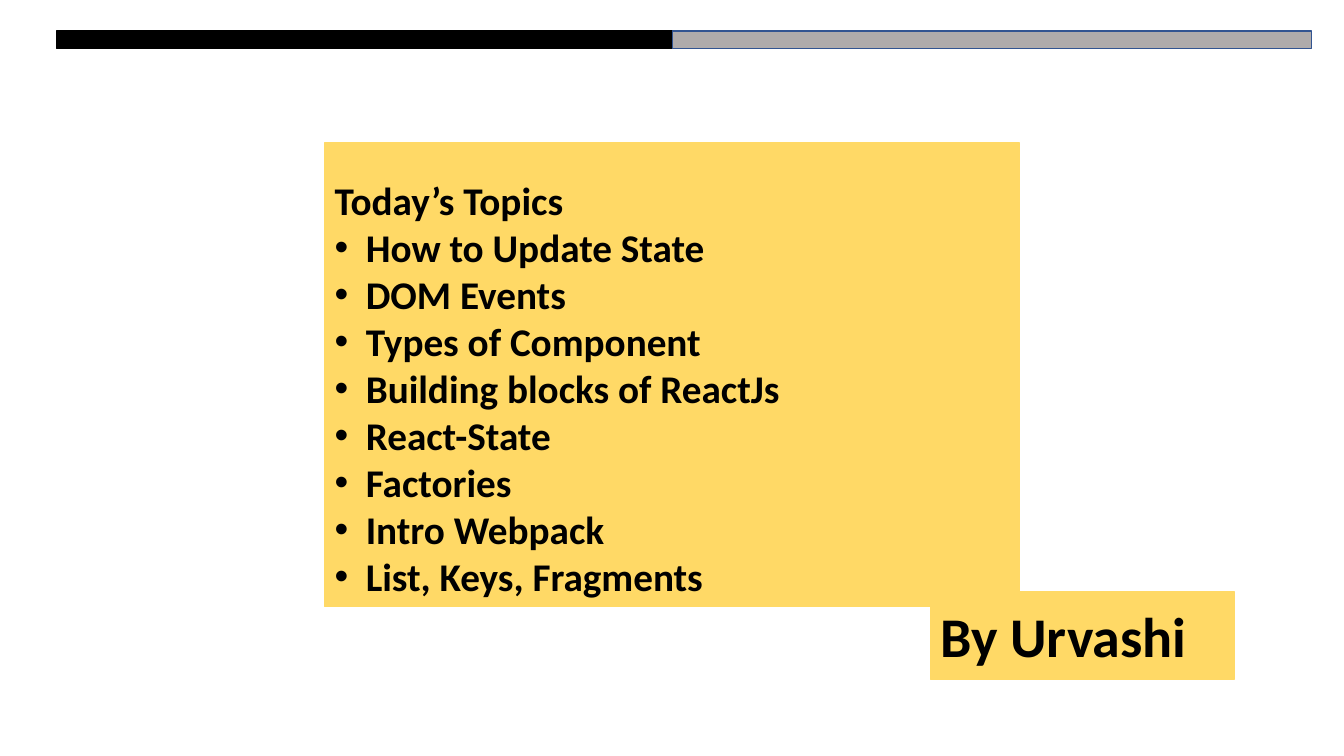
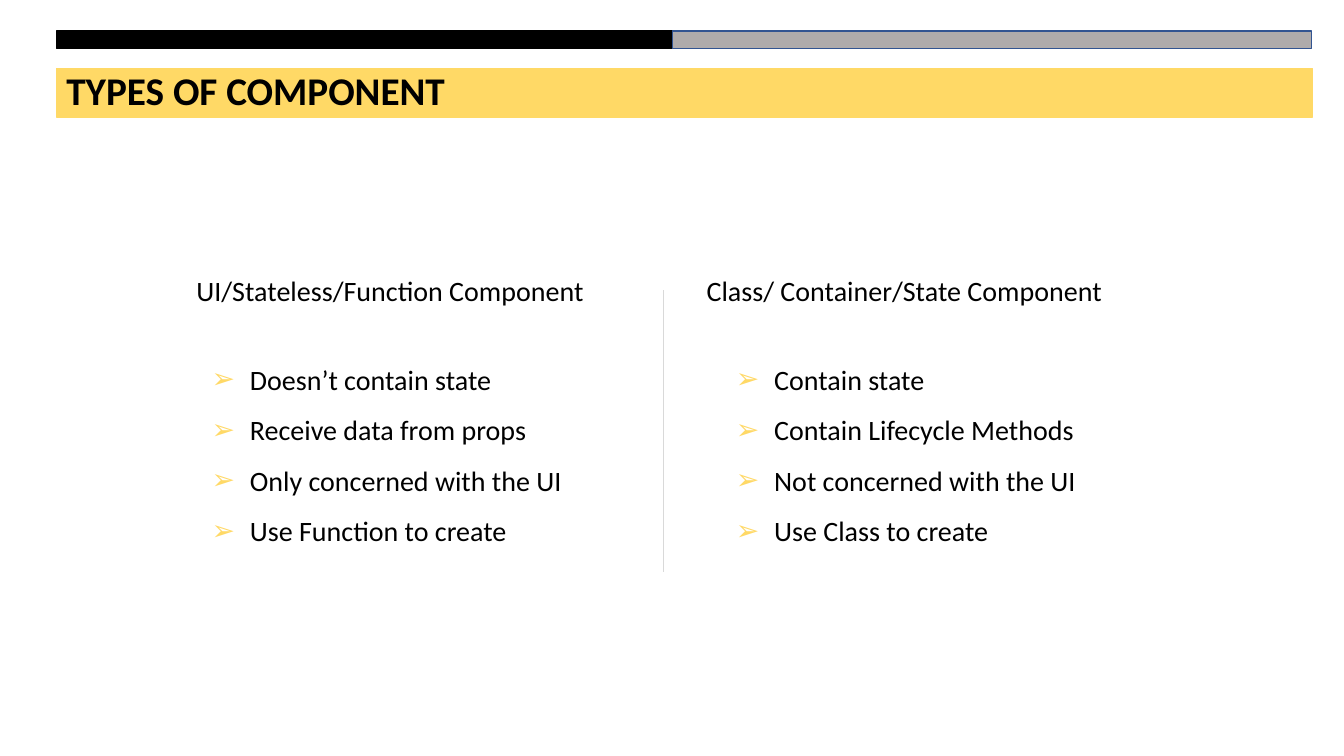
from dataclasses import dataclass

from lxml import etree
from pptx import Presentation
from pptx import util as u
from pptx.dml.color import RGBColor
from pptx.enum import shapes, text
from pptx.oxml import ns


@dataclass(frozen=True)
class Theme:
    font: str = "Calibri"
    ink: str = "000000"
    accent: str = "FFD966"
    grey: str = "AFABAB"
    grey_edge: str = "325491"
    divider: str = "D9D9D9"
    author_size: int = 40
    title_size: int = 28
    body_size: int = 20


THEME = Theme()


def add_rectangle(page, left, top, width, height, fill, edge=None):
    box = page.shapes.add_shape(
        shapes.MSO_SHAPE.RECTANGLE,
        u.Inches(left), u.Inches(top), u.Inches(width), u.Inches(height),
    )
    box.shadow.inherit = False
    box.fill.solid()
    box.fill.fore_color.rgb = RGBColor.from_string(fill)
    box.line.color.rgb = RGBColor.from_string(edge or fill)
    box.line.width = u.Pt(1)
    return box


def add_text_box(page, left, top, width, height):
    box = page.shapes.add_textbox(
        u.Inches(left), u.Inches(top), u.Inches(width), u.Inches(height)
    )
    box.text_frame.word_wrap = True
    return box


def write_lines(box, lines, size, bold=False, spacing=None):
    frame = box.text_frame
    frame.text = "\n".join(lines)
    for para in frame.paragraphs:
        para.alignment = text.PP_ALIGN.LEFT
        para.font.name = THEME.font
        para.font.size = u.Pt(size)
        para.font.bold = bold
        para.font.color.rgb = RGBColor.from_string(THEME.ink)
        if spacing is not None:
            para.line_spacing = spacing
    return frame


def add_bullets(paragraphs, symbol, colour, indent):
    for para in paragraphs:
        properties = para._p.get_or_add_pPr()
        properties.set("marL", str(u.Inches(indent)))
        properties.set("indent", str(-u.Inches(indent)))
        bullet_colour = etree.SubElement(properties, ns.qn("a:buClr"))
        etree.SubElement(bullet_colour, ns.qn("a:srgbClr"), val=colour)
        etree.SubElement(properties, ns.qn("a:buFont"), typeface="Arial")
        etree.SubElement(properties, ns.qn("a:buChar"), char=symbol)
        default_font = properties.find(ns.qn("a:defRPr"))
        if default_font is not None:
            properties.append(default_font)


def add_divider(page, left, top, bottom):
    line = page.shapes.add_connector(
        shapes.MSO_CONNECTOR.STRAIGHT,
        u.Inches(left), u.Inches(top), u.Inches(left), u.Inches(bottom),
    )
    line.line.color.rgb = RGBColor.from_string(THEME.divider)
    line.line.width = u.Pt(0.5)
    etree.SubElement(line._element.spPr, ns.qn("a:effectLst"))


def add_page(deck):
    page = deck.slides.add_slide(deck.slide_layouts[6])
    add_rectangle(page, 0.56, 0.31, 8.33, 0.17, THEME.ink)
    add_rectangle(page, 6.67, 0.31, 6.34, 0.17, THEME.grey, THEME.grey_edge)
    return page


def add_title(page, title):
    add_rectangle(page, 0.56, 0.68, 12.46, 0.48, THEME.accent)
    box = add_text_box(page, 0.56, 0.61, 7.18, 0.57)
    write_lines(box, [title], THEME.title_size, bold=True)


def add_component_column(page, heading, heading_left, points, points_left):
    box = add_text_box(page, heading_left, 2.66, 4.4, 0.44)
    write_lines(box, [heading], THEME.body_size)
    box = add_text_box(page, points_left, 3.38, 4.1, 2.12)
    frame = write_lines(box, points, THEME.body_size, spacing=1.5)
    add_bullets(frame.paragraphs, "➢", THEME.accent, 0.38)


def build_topics(deck):
    page = add_page(deck)
    panel = add_rectangle(page, 3.22, 1.42, 6.89, 4.6, THEME.accent)
    topics = [
        "Today’s Topics",
        "How to Update State",
        "DOM Events",
        "Types of Component",
        "Building blocks of ReactJs",
        "React-State",
        "Factories",
        "Intro Webpack",
        "List, Keys, Fragments",
    ]
    frame = write_lines(
        panel, topics, THEME.title_size, bold=True, spacing=u.Pt(33.6)
    )
    frame.vertical_anchor = text.MSO_ANCHOR.TOP
    frame.margin_top = u.Inches(0.33)
    add_bullets(frame.paragraphs[1:], "•", THEME.ink, 0.31)

    author = add_rectangle(page, 9.23, 5.87, 3.01, 0.87, THEME.accent)
    frame = write_lines(author, ["By Urvashi"], THEME.author_size, bold=True)
    frame.vertical_anchor = text.MSO_ANCHOR.MIDDLE


def build_component_types(deck):
    page = add_page(deck)
    add_title(page, "TYPES OF COMPONENT")
    add_component_column(
        page, "UI/Stateless/Function Component", 1.85,
        [
            "Doesn’t contain state",
            "Receive data from props",
            "Only concerned with the UI",
            "Use Function to create",
        ], 2,
    )
    add_component_column(
        page, "Class/ Container/State Component", 6.91,
        [
            "Contain state",
            "Contain Lifecycle Methods",
            "Not concerned with the UI",
            "Use Class to create",
        ], 7.2,
    )
    add_divider(page, 6.58, 2.88, 5.67)


def main():
    deck = Presentation()
    deck.slide_width = u.Inches(13.33)
    deck.slide_height = u.Inches(7.5)
    build_topics(deck)
    build_component_types(deck)
    deck.save("out.pptx")


if __name__ == "__main__":
    main()
